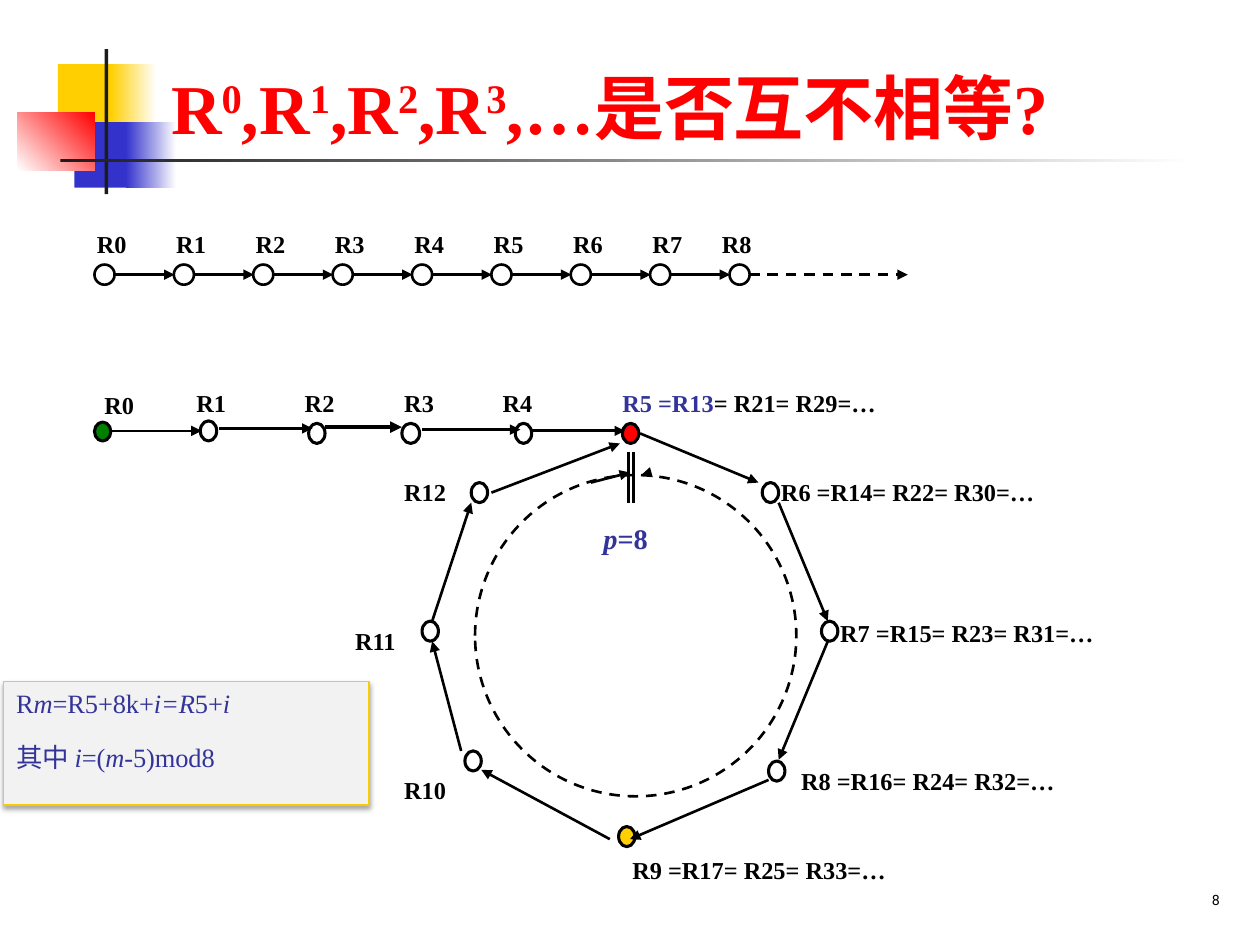
from dataclasses import dataclass
from typing import Optional

from lxml.etree import SubElement
from pptx import Presentation
from pptx.dml.color import RGBColor
from pptx.enum.dml import MSO_LINE
from pptx.enum.shapes import MSO_CONNECTOR, MSO_SHAPE
from pptx.enum.text import MSO_ANCHOR, PP_ALIGN
from pptx.oxml.ns import qn
from pptx.util import Inches, Pt

COLORS = {
    "black": "000000", "ink": "1C1C1C", "white": "FFFFFF", "panel": "F2F2F2",
    "yellow": "FFCF01", "gold": "FACB00", "blue": "3333CC", "navy": "333399",
    "red": "FF0000", "green": "008000",
}
SERIF = "Times New Roman"
RAISED = 30
WIDTH, HEIGHT = Inches(10), Inches(7.5)
COLUMN, ROW = WIDTH / 100, HEIGHT / 75


@dataclass
class Block:
    left: float
    top: float
    width: float
    height: float
    color: str
    fade_from: Optional[str] = None
    angle: float = 0


@dataclass
class Node:
    left: float
    top: float
    fill: Optional[str] = None
    width: float = 1.3
    height: float = 1.6
    weight: float = 1.75
    dashed: bool = False


@dataclass
class Edge:
    x1: float
    y1: float
    x2: float
    y2: float
    arrow: bool = True
    weight: float = 1.5
    dashed: bool = False


@dataclass
class Piece:
    text: str
    color: str = "black"
    italic: bool = False
    raised: bool = True


@dataclass
class Label:
    left: float
    top: float
    width: float
    pieces: list[Piece]
    size: float = 24
    height: float = 5.4


def rgb(name: str) -> RGBColor:
    return RGBColor.from_string(COLORS[name])


def place(left: float, top: float, width: float, height: float) -> list[int]:
    return [round(left * COLUMN), round(top * ROW), round(width * COLUMN), round(height * ROW)]


def draw_block(slide, block: Block):
    shape = slide.shapes.add_shape(
        MSO_SHAPE.RECTANGLE, *place(block.left, block.top, block.width, block.height))
    shape.shadow.inherit = False
    shape.line.fill.background()
    if block.fade_from:
        shape.fill.gradient()
        shape.fill.gradient_angle = block.angle
        for stop, color in zip(shape.fill.gradient_stops, (block.fade_from, block.color)):
            stop.color.rgb = rgb(color)
    else:
        shape.fill.solid()
        shape.fill.fore_color.rgb = rgb(block.color)
    return shape


def style_line(line, weight: float, dashed: bool) -> None:
    line.color.rgb = rgb("black")
    line.width = Pt(weight)
    if dashed:
        line.dash_style = MSO_LINE.DASH


def draw_node(slide, node: Node) -> None:
    shape = slide.shapes.add_shape(
        MSO_SHAPE.OVAL, *place(node.left, node.top, node.width, node.height))
    shape.shadow.inherit = False
    if node.fill:
        shape.fill.solid()
        shape.fill.fore_color.rgb = rgb(node.fill)
    else:
        shape.fill.background()
    style_line(shape.line, node.weight, node.dashed)


def draw_edge(slide, edge: Edge) -> None:
    connector = slide.shapes.add_connector(
        MSO_CONNECTOR.STRAIGHT, *place(edge.x1, edge.y1, edge.x2, edge.y2))
    style_line(connector.line, edge.weight, edge.dashed)
    if edge.arrow:
        SubElement(connector.line._get_or_add_ln(), qn("a:tailEnd"), type="triangle")
    SubElement(connector._element.spPr, qn("a:effectLst"))


def write(paragraph, pieces: list[Piece], size: float, bold: bool, face: str = SERIF) -> None:
    paragraph.font.size = Pt(size)
    paragraph.font.bold = bold
    paragraph.font.name = face
    for piece in pieces:
        run = paragraph.add_run()
        run.text = piece.text
        run.font.color.rgb = rgb(piece.color)
        run.font.italic = piece.italic
        if piece.raised:
            run.font._element.set("baseline", str(RAISED * 1000))


def add_text(slide, left: float, top: float, width: float, height: float):
    frame = slide.shapes.add_textbox(*place(left, top, width, height)).text_frame
    frame.word_wrap = True
    return frame


def draw_label(slide, label: Label) -> None:
    frame = add_text(slide, label.left, label.top, label.width, label.height)
    frame.margin_top = round(1.2 * ROW)
    paragraph = frame.paragraphs[0]
    paragraph.line_spacing = 1.1
    write(paragraph, label.pieces, label.size, True)


def draw_frame(slide) -> None:
    for block in (
        Block(4.6, 5.1, 4.8, 5.2, "yellow"),
        Block(8.8, 5.1, 3.6, 5.2, "white", "yellow"),
        Block(5.9, 9.7, 4.6, 5.2, "blue"),
        Block(10, 9.7, 4, 5.2, "white", "blue"),
        Block(1.4, 8.9, 6.1, 4.6, "red", "white", 45),
        Block(8.3, 3.9, 0.3, 11.5, "ink"),
        Block(4.8, 12.6, 90, 0.3, "white", "ink"),
    ):
        draw_block(slide, block)
    title = add_text(slide, 12.6, 3.9, 85.2, 8.4)
    title.vertical_anchor = MSO_ANCHOR.BOTTOM
    pieces = []
    for power in range(4):
        pieces += [Piece(",R" if power else "R", "red", raised=False), Piece(str(power), "red")]
    pieces.append(Piece(",…是否互不相等?", "red", raised=False))
    write(title.paragraphs[0], pieces, 40, True)
    number = add_text(slide, 77, 68.3, 20.8, 5)
    number.vertical_anchor = MSO_ANCHOR.BOTTOM
    number.paragraphs[0].alignment = PP_ALIGN.RIGHT
    write(number.paragraphs[0], [Piece("8")], 14, False, "Roboto")


def draw_chain(slide) -> None:
    pitch, last = 6.3, 8
    for index in range(last + 1):
        left = 7.5 + index * pitch
        draw_node(slide, Node(left, 21, width=1.6, weight=1.5))
        reach = 12.6 if index == last else 4.8
        draw_edge(slide, Edge(left + 1.55, 21.8, left + 1.55 + reach, 21.8, dashed=index == last))
        label_left = 56.3 if index == last else 6.7 + index * pitch
        draw_label(slide, Label(label_left, 16.2, 5.5, [Piece(f"R{index}")]))


def draw_cycle(slide) -> None:
    for node in (
        Node(7.5, 33.5, "green", height=1.5), Node(15.9, 33.4), Node(24.5, 33.6),
        Node(31.9, 33.6, width=1.4), Node(40.9, 33.6), Node(49.4, 33.6, "red"),
        Node(60.5, 38.3), Node(65.2, 49.3), Node(61, 60.4), Node(49.1, 65.6, "yellow"),
        Node(36.9, 59.6), Node(33.5, 49.3), Node(37.4, 38.3),
        Node(37.7, 37.7, width=25.5, height=25.5, weight=1.5, dashed=True),
    ):
        draw_node(slide, node)
    for edge in (
        Edge(8.9, 34.2, 16, 34.2), Edge(17.4, 34, 24.8, 34, weight=1.75),
        Edge(25.8, 33.9, 31.9, 33.9, weight=2.25), Edge(33.5, 34.1, 41.3, 34.1, weight=1.75),
        Edge(42.1, 34.2, 49.6, 34.2, weight=1.75), Edge(50.8, 34.4, 60.2, 38.3),
        Edge(61.8, 39.9, 65.7, 49.3), Edge(65.7, 50.9, 61.8, 60.3), Edge(61, 61.9, 50, 66.6),
        Edge(48.4, 66.6, 38.2, 61.1), Edge(36.6, 59.6, 34.3, 50.9),
        Edge(34.3, 49.3, 37.4, 39.9), Edge(39, 39.1, 49.2, 35.2),
        Edge(51.6, 37.5, 50.9, 37.7), Edge(46.9, 38.3, 50, 37.5),
        Edge(50.3, 35.9, 50.3, 39.9, arrow=False), Edge(49.9, 35.9, 49.9, 39.9, arrow=False),
    ):
        draw_edge(slide, edge)
    for index, (left, top) in enumerate(
            ((7.3, 29), (14.6, 28.8), (23.2, 28.8), (31.1, 28.8), (38.9, 28.8))):
        draw_label(slide, Label(left, top, 5.5, [Piece(f"R{index}")]))
    draw_label(slide, Label(
        48.4, 28.8, 32.9, [Piece("R5 =R13", "navy"), Piece("= R21= R29=…")], height=5.1))
    for index, (left, top) in enumerate(((61, 35.9), (65.7, 47.1), (62.6, 58.8), (49.2, 65.9)), 6):
        text = f"R{index} =R{index + 8}= R{index + 16}= R{index + 24}=…"
        draw_label(slide, Label(left, top, 32.6, [Piece(text)]))
    for index, (left, top) in enumerate(((31.1, 59.5), (27.2, 47.7), (31.1, 35.9)), 10):
        draw_label(slide, Label(left, top, 6.6, [Piece(f"R{index}")]))
    draw_label(slide, Label(
        46.9, 39.2, 8.2, [Piece("p", "navy", True), Piece("=8", "navy")], 28, 5.8))


def draw_rule(slide) -> None:
    panel = draw_block(slide, Block(0.3, 54.1, 29, 9.8, "panel"))
    panel.line.color.rgb = rgb("gold")
    panel.line.width = Pt(0.75)
    shadow = SubElement(
        panel._element.spPr.find(qn("a:effectLst")), qn("a:outerShdw"),
        blurRad=str(Pt(3.1)), dist=str(Pt(1.8)), dir="5400000", rotWithShape="0")
    shade = SubElement(shadow, qn("a:srgbClr"), val=COLORS["black"])
    SubElement(shade, qn("a:alpha"), val="35000")
    frame = panel.text_frame
    frame.word_wrap = True
    frame.vertical_anchor = MSO_ANCHOR.TOP
    frame.margin_top = 0
    lines = (("R", "m", "=R5+8k+", "i=R", "5+", "i"), ("其中 ", "i", "=(", "m", "-5)mod8"))
    for index, texts in enumerate(lines):
        paragraph = frame.add_paragraph() if index else frame.paragraphs[0]
        paragraph.alignment = PP_ALIGN.LEFT
        paragraph.line_spacing = Pt(31)
        pieces = [Piece(text, "navy", order % 2 == 1) for order, text in enumerate(texts)]
        write(paragraph, pieces, 26, False)


def main() -> None:
    presentation = Presentation()
    presentation.slide_width, presentation.slide_height = WIDTH, HEIGHT
    slide = presentation.slides.add_slide(presentation.slide_layouts[6])
    draw_frame(slide)
    draw_chain(slide)
    draw_cycle(slide)
    draw_rule(slide)
    presentation.save("out.pptx")


if __name__ == "__main__":
    main()
